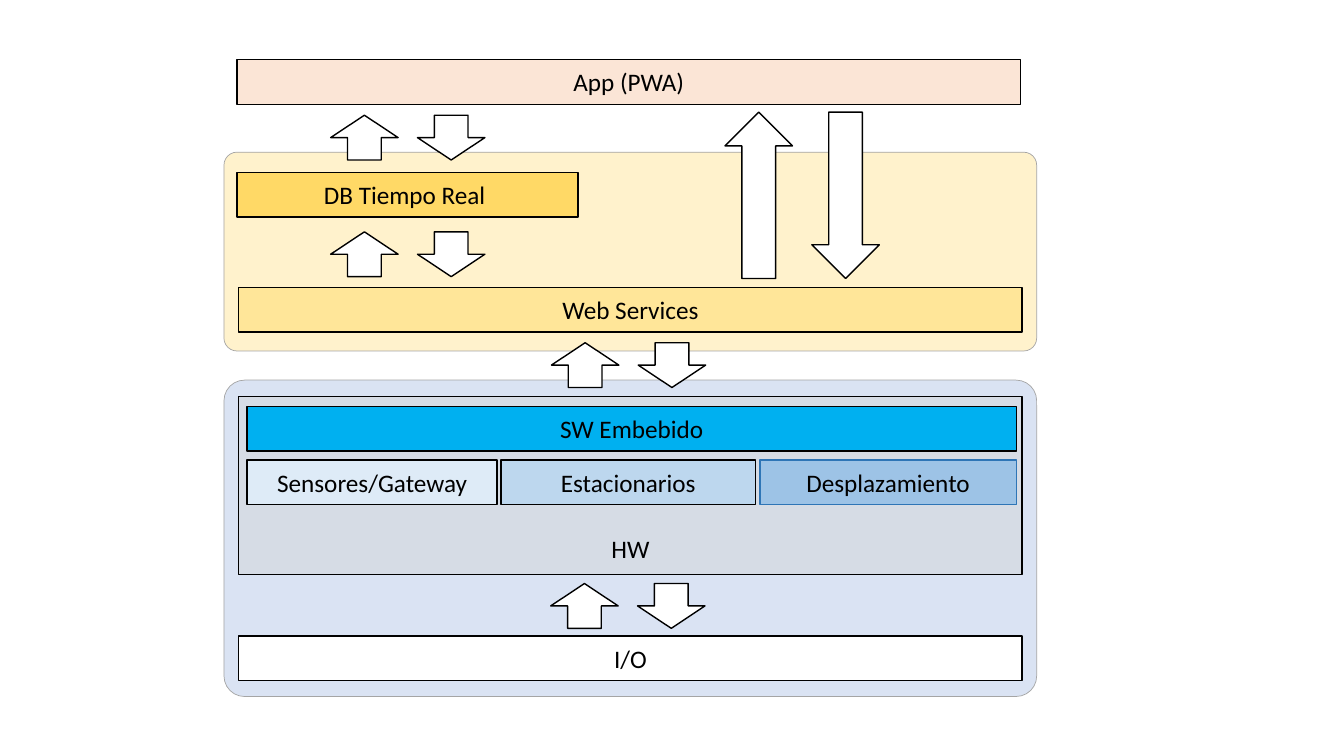
from pptx import Presentation
from pptx.dml.color import RGBColor
from pptx.enum.shapes import MSO_SHAPE
from pptx.enum.text import MSO_ANCHOR, PP_ALIGN
from pptx.util import Pt

COLORS = {
    "black": "000000", "white": "FFFFFF", "edge": "A5A5A5",
    "cloud": "FFF2CC", "device": "DAE3F3", "app": "FBE5D6",
    "data": "FFD966", "web": "FFE699", "hardware": "D6DCE5",
    "soft": "00B0F0", "sensor": "DEEBF7", "fixed": "BDD7EE",
    "moving": "9DC3E6", "blue": "2E75B6",
}
BAR = 32  # height of a layer bar
WIDE = 559.5  # width of a full layer bar
HEAD, STEP = 48.2, 62  # width of an arrow, distance to its partner


def add_form(slide, kind, box, fill, line="black", weight=1):
    form = slide.shapes.add_shape(kind, *[Pt(v) for v in box])
    form.shadow.inherit = False
    form.fill.solid()
    form.fill.fore_color.rgb = RGBColor.from_string(COLORS[fill])
    form.line.color.rgb = RGBColor.from_string(COLORS[line])
    form.line.width = Pt(weight)
    return form


def add_panel(slide, box, fill):
    panel = add_form(slide, MSO_SHAPE.ROUNDED_RECTANGLE, box, fill, "edge", 0.5)
    panel.adjustments[0] = 0.065


def add_bar(slide, box, text, fill, line="black"):
    bar = add_form(slide, MSO_SHAPE.RECTANGLE, box, fill, line)
    frame = bar.text_frame
    frame.word_wrap = True
    frame.vertical_anchor = MSO_ANCHOR.MIDDLE
    frame.text = text
    line = frame.paragraphs[0]
    line.alignment = PP_ALIGN.CENTER
    font = line.runs[0].font
    font.name, font.size = "Calibri", Pt(18)
    font.color.rgb = RGBColor.from_string(COLORS["black"])
    return bar


def add_pair(slide, left, top, height=BAR):
    """Place an up arrow and, to its right, a down arrow."""
    for i, kind in enumerate((MSO_SHAPE.UP_ARROW, MSO_SHAPE.DOWN_ARROW)):
        add_form(slide, kind, (left + i * STEP, top, HEAD, height), "white")


def add_cloud(slide, left, top, width, height):
    add_panel(slide, (left, top, width, height), "cloud")
    add_bar(slide, (left + 9.4, top + 14.4, 243.4, BAR), "DB Tiempo Real ", "data")
    add_bar(slide, (left + 10.6, top + 96.5, WIDE, BAR), "Web Services", "web")


def add_device(slide, left, top, width, height):
    add_panel(slide, (left, top, width, height), "device")
    inner = left + 10.6
    add_bar(slide, (inner, top + 182.8, WIDE, BAR), "I/O", "white")
    hard = add_bar(slide, (inner, top + 11.7, WIDE, 127.4), "HW", "hardware")
    hard.text_frame.vertical_anchor = MSO_ANCHOR.BOTTOM
    hard.text_frame.margin_bottom = Pt(8)
    start = left + 16.5
    add_bar(slide, (start, top + 18.7, 549.4, BAR), "SW Embebido", "soft")
    parts = [
        (0, 178.6, "Sensores/Gateway", "sensor", "black"),
        (181.5, 181.6, "Estacionarios", "fixed", "black"),
        (366.3, 183.1, "Desplazamiento", "moving", "blue"),
    ]
    for shift, size, text, fill, line in parts:
        add_bar(slide, (start + shift, top + 57, size, BAR), text, fill, line)


def add_links(slide, left, top):
    """Place the arrow pairs between layers, from the top layer down."""
    add_pair(slide, left, top)
    add_pair(slide, left + 281.7, top - 2.2, 118.8)
    add_pair(slide, left, top + 83.3)
    add_pair(slide, left + 157.7, top + 162.5)
    add_pair(slide, left + 157.2, top + 334.5)


def main():
    deck = Presentation()
    deck.slide_width, deck.slide_height = Pt(960), Pt(540)
    slide = deck.slides.add_slide(deck.slide_layouts[6])
    add_cloud(slide, 160, 108.7, 580.5, 142)
    add_device(slide, 160, 271.5, 580.5, 226)
    add_bar(slide, (169.4, 42.5, WIDE, BAR), "App (PWA)", "app")
    add_links(slide, 236.2, 82.3)
    deck.save("out.pptx")


if __name__ == "__main__":
    main()
